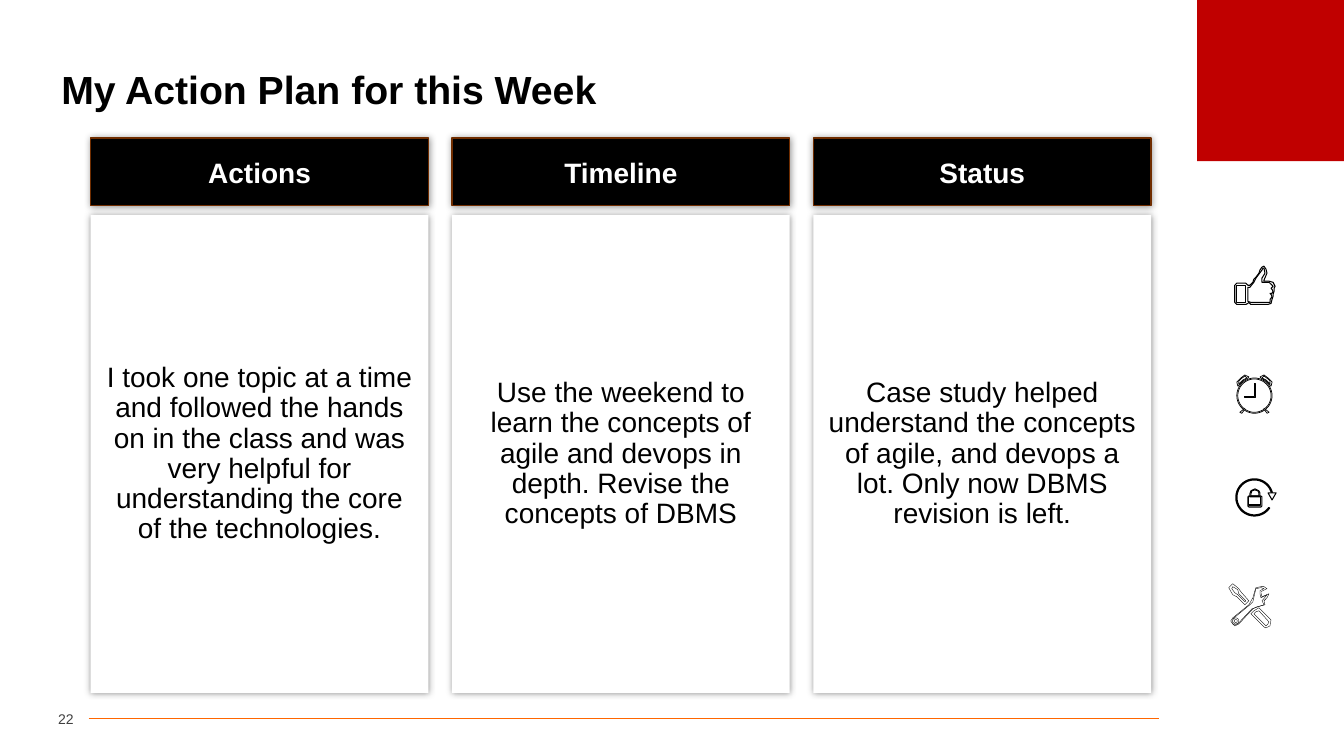
from math import cos, radians, sin

from lxml import etree
from pptx import Presentation
from pptx import util as u
from pptx.dml.color import RGBColor
from pptx.enum import shapes, text
from pptx.oxml.ns import qn

BLACK = RGBColor(0x00, 0x00, 0x00)
WHITE = RGBColor(0xFF, 0xFF, 0xFF)
RED = RGBColor(0xC0, 0x00, 0x00)
ORANGE = RGBColor(0xFF, 0x66, 0x00)
BROWN = RGBColor(0x70, 0x2D, 0x00)
GREY = RGBColor(0x40, 0x40, 0x40)

CELL = u.Inches(7.5) // 90  # the slide is a grid of 160 columns by 90 rows
ICON_UNIT = u.Inches(0.01)

PLAN = [
    ("Actions", "I took one topic at a time and followed the hands on in the class and was "
                "very helpful for understanding the core of the technologies."),
    ("Timeline", "Use the weekend to learn the concepts of agile and devops in depth. "
                 "Revise the concepts of DBMS"),
    ("Status", "Case study helped understand the concepts of agile, and devops a lot. "
               "Only now DBMS revision is left."),
]


def arc(x, y, radius, start=0, end=360, steps=48):
    angles = [radians(start + (end - start) * i / steps) for i in range(steps + 1)]
    return [(x + radius * cos(a), y + radius * sin(a)) for a in angles]


def mirrored(contours, axis=45.5):
    return [[(2 * axis - x, y) for x, y in contour] for contour in contours]


# An icon part is a list of closed contours, measured in icon units from its disc's corner.
THUMB = [
    [(65, 43), (66, 41), (64, 37), (60, 36), (55, 36), (55, 35), (58, 28), (57, 24), (55, 21),
     (53, 22), (51, 25), (50, 28), (47, 32), (45, 34), (44, 37), (41, 40), (39, 40), (37, 38),
     (28, 38), (26, 40), (26, 57), (28, 59), (37, 59), (39, 58), (40, 57), (42, 59), (59, 59),
     (62, 58), (63, 54), (64, 51), (64, 49), (65, 46)],
    [(28, 40), (28, 57), (37, 57), (37, 40)],
    [(63, 42), (62, 43), (63, 44), (64, 46), (63, 48), (61, 48), (62, 49), (63, 51), (62, 53),
     (61, 54), (61, 57), (42, 57), (39, 56), (39, 42), (41, 42), (45, 37), (47, 33), (53, 25),
     (54, 23), (55, 23), (56, 28), (53, 33), (53, 37), (60, 37), (64, 41)],
]
BELL = [
    [(61, 36), (61, 35), (57, 31), (52, 28), (51, 27), (55, 25), (59, 28), (63, 32), (62, 36)],
    [(53, 28), (57, 30), (61, 34), (61, 31), (59, 29), (55, 26)],
]
LEG = [[(58, 63), (55, 59), (55, 58), (60, 62)]]
DIAL = [arc(45.5, 45.5, 17.5), arc(45.5, 45.5, 16.5)]
HANDS = [[(46, 47), (35, 47), (35, 46), (45, 46), (45, 33), (46, 33)]]
CYCLE = [arc(45.5, 42.5, 18.5, 0, -325) + arc(45.5, 42.5, 17.3, -325, 0)]
ARROW = [[(59, 38), (63, 45), (67, 38)]]
SHACKLE = [
    [(41, 42), (41, 39), (42, 36), (46, 34), (50, 36), (51, 38), (51, 42)],
    [(42, 41), (42, 39), (43, 36), (46, 35), (49, 36), (50, 38), (50, 41)],
]
LOCK = [
    [(40, 41), (52, 41), (53, 42), (53, 51), (52, 52), (40, 52), (39, 51), (39, 42)],
    [(40, 42), (40, 50), (52, 50), (52, 42)],
]
HANDLE = [
    [(57, 68), (55, 67), (42, 54), (45, 51), (50, 48), (62, 60), (61, 66)],
    [(57, 66), (45, 54), (47, 52), (50, 51), (60, 62), (59, 64)],
]
BLADE = [
    [(36, 45), (28, 37), (24, 35), (20, 28), (24, 24), (30, 29), (32, 32), (40, 41), (38, 43)],
    [(26, 33), (29, 35), (36, 42), (37, 41), (30, 34), (29, 30), (24, 27), (23, 29)],
]
WRENCH = [
    [(52, 27), (47, 28), (46, 31), (44, 38), (40, 45), (24, 58), (22, 61), (24, 64), (26, 66),
     (30, 64), (44, 49), (48, 47), (56, 45), (55, 41), (58, 38), (60, 34), (53, 37), (52, 33),
     (52, 32), (58, 29), (55, 27)],
    [(52, 28), (55, 29), (51, 31), (51, 34), (52, 38), (58, 35), (54, 40), (53, 41), (55, 45),
     (43, 49), (29, 64), (26, 65), (24, 64), (24, 59), (41, 45), (44, 42), (46, 33), (47, 29)],
    arc(27, 61, 3), arc(27, 61, 1.5),
]
ICONS = [
    (0.75, [THUMB]),
    (0.5, [BELL, mirrored(BELL), LEG, mirrored(LEG), DIAL, HANDS]),
    (0.75, [CYCLE, ARROW, SHACKLE, LOCK]),
    (0.25, [HANDLE, BLADE, WRENCH]),
]


def cells(*lengths):
    return [round(length * CELL) for length in lengths]


class SlideBuilder:
    font = "Arial"

    def __init__(self, slide):
        self.slide = slide

    def paint(self, shape, fill, line=None, width=1):
        shape.shadow.inherit = False
        shape.fill.solid()
        shape.fill.fore_color.rgb = fill
        if line is None:
            shape.line.fill.background()
        else:
            shape.line.color.rgb = line
            shape.line.width = u.Pt(width)

    def set_text(self, shape, words, size, color, align, bold=False, spacing=None, before=0):
        frame = shape.text_frame
        frame.word_wrap = True
        frame.vertical_anchor = text.MSO_ANCHOR.MIDDLE
        paragraph = frame.paragraphs[0]
        paragraph.text = words
        paragraph.alignment = align
        paragraph.line_spacing = spacing
        paragraph.space_before = u.Pt(before)
        font = paragraph.font
        font.name, font.size, font.bold = self.font, u.Pt(size), bold
        font.color.rgb = color
        return frame

    def label(self, words, box, **style):
        return self.set_text(self.slide.shapes.add_textbox(*cells(*box)), words, **style)

    def block(self, kind, box, fill, line=None):
        shape = self.slide.shapes.add_shape(kind, *cells(*box))
        self.paint(shape, fill, line)
        return shape

    def card(self, words, box, fill, line=None, **style):
        """Add a rectangle with centred text and a soft glow of shadow."""
        shape = self.block(shapes.MSO_SHAPE.RECTANGLE, box, fill, line)
        effects = shape.element.spPr.find(qn("a:effectLst"))
        shadow = etree.SubElement(effects, qn("a:outerShdw"), blurRad=str(u.Pt(5)),
                                  dist="0", dir="0", algn="ctr", rotWithShape="0")
        color = etree.SubElement(shadow, qn("a:srgbClr"), val=str(BLACK))
        etree.SubElement(color, qn("a:alpha"), val="40000")
        self.set_text(shape, words, size=20, align=text.PP_ALIGN.CENTER, **style)

    def rule(self, left, right, row, color, width):
        line = self.slide.shapes.add_connector(
            shapes.MSO_CONNECTOR.STRAIGHT, *cells(left, row, right, row))
        line.line.color.rgb = color
        line.line.width = u.Pt(width)
        etree.SubElement(line.element.spPr, qn("a:effectLst"))

    def icon(self, column, row, parts, width):
        self.block(shapes.MSO_SHAPE.OVAL, (column, row, 10.8, 10.8), WHITE)
        left, top = cells(column, row)
        for contours in parts:
            placed = [[(left + x * ICON_UNIT, top + y * ICON_UNIT) for x, y in contour]
                      for contour in contours]
            builder = self.slide.shapes.build_freeform(*placed[0][0], scale=1.0)
            builder.add_line_segments(placed[0][1:], close=True)
            for contour in placed[1:]:
                builder.move_to(*contour[0])
                builder.add_line_segments(contour[1:], close=True)
            self.paint(builder.convert_to_shape(), WHITE, BLACK, width)


def main():
    presentation = Presentation()
    presentation.slide_width, presentation.slide_height = cells(160, 90)
    builder = SlideBuilder(presentation.slides.add_slide(presentation.slide_layouts[6]))

    builder.rule(10.56, 138, 85.56, ORANGE, 0.5)
    builder.block(shapes.MSO_SHAPE.RECTANGLE, (142.52, 0, 17.48, 19.2), RED)
    builder.label("My Action Plan for this Week", (6.12, 6.24, 147.72, 9.36), size=28,
                  color=BLACK, align=text.PP_ALIGN.LEFT, bold=True, spacing=0.9)
    number = builder.label("22", (3.96, 83.88, 4.8, 3.48), size=10, color=GREY,
                           align=text.PP_ALIGN.RIGHT)
    number.margin_left = number.margin_right = 0

    for index, (heading, body) in enumerate(PLAN):
        left = 10.8 + 43.02 * index
        builder.card(body, (left, 25.62, 40.2, 56.88), WHITE, color=BLACK,
                     spacing=0.9, before=10)
        builder.card(heading, (left, 16.44, 40.2, 8.04), BLACK, BROWN, color=WHITE, bold=True)

    for index, (width, parts) in enumerate(ICONS):
        builder.icon(143.88, 29.16 + 12.48 * index, parts, width)

    presentation.save("out.pptx")


if __name__ == "__main__":
    main()
